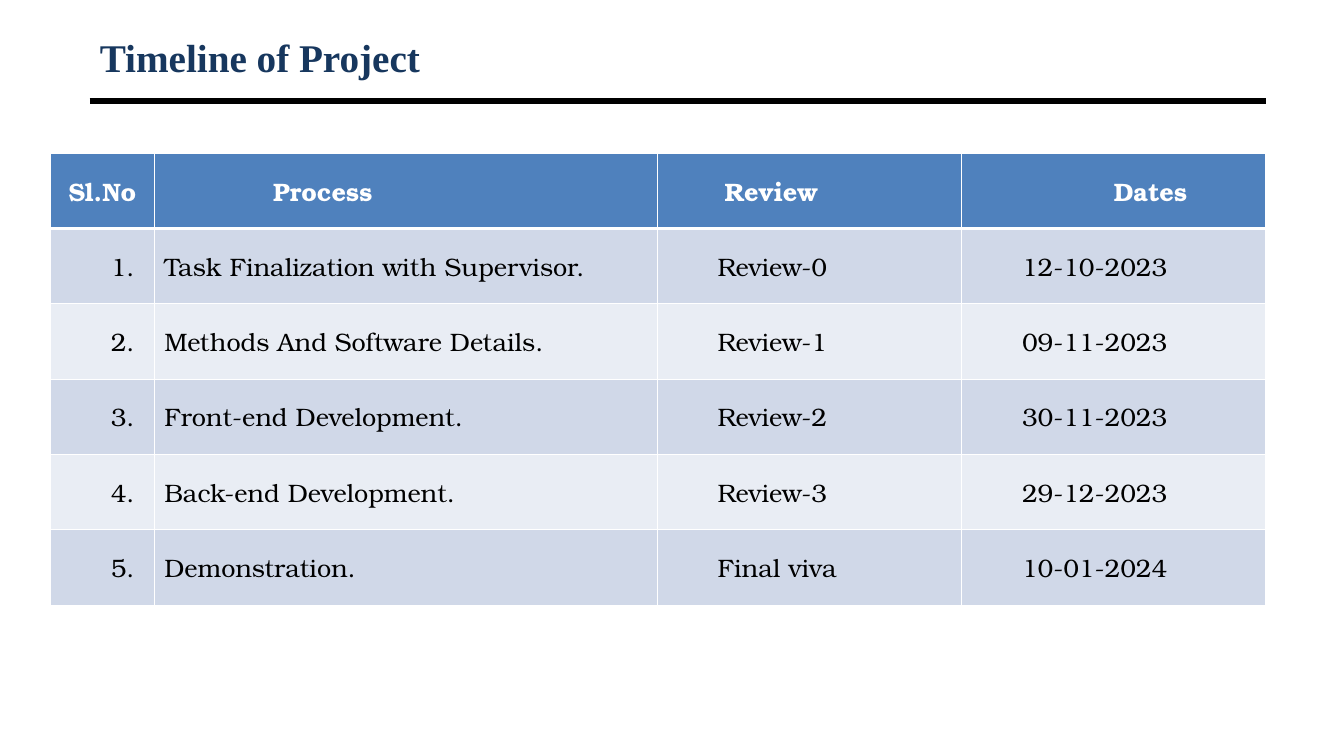
from dataclasses import dataclass

from lxml import etree
from pptx import Presentation
from pptx.dml.color import RGBColor
from pptx.enum.shapes import MSO_CONNECTOR
from pptx.enum.text import MSO_ANCHOR, MSO_AUTO_SIZE, PP_ALIGN
from pptx.oxml.ns import qn
from pptx.util import Inches, Pt

LEFT = PP_ALIGN.LEFT
MIDDLE = MSO_ANCHOR.MIDDLE
FIXED = MSO_AUTO_SIZE.NONE
STRAIGHT = MSO_CONNECTOR.STRAIGHT

WIDTH, HEIGHT = Inches(13.333), Inches(7.5)
COLS, ROWS = 40, 30
COLORS = {
    "navy": "17375E",
    "black": "000000",
    "white": "FFFFFF",
    "head": "4F81BD",
    "odd": "D0D8E8",
    "even": "E9EDF4",
}
SERIF = "Times New Roman"
BOOK = "TeX Gyre Bonum"


@dataclass(frozen=True)
class Column:
    title: str
    width: float
    head_indent: float
    indent: float
    items: tuple[str, ...]


COLUMNS = (
    Column("Sl.No", 3.09, 0.24, 1.5, ("1.", "2.", "3.", "4.", "5.")),
    Column("Process", 14.97, 3.24, 0, (
        "Task Finalization with Supervisor.",
        "Methods And Software Details.",
        "Front-end Development.",
        "Back-end Development.",
        "Demonstration.",
    )),
    Column("Review", 9.06, 1.71, 1.5, (
        "Review-0", "Review-1", "Review-2", "Review-3", "Final viva",
    )),
    Column("Dates", 9.06, 4.23, 1.5, (
        "12-10-2023", "09-11-2023", "30-11-2023", "29-12-2023", "10-01-2024",
    )),
)


def across(count: float) -> int:
    return round(WIDTH * count / COLS)


def down(count: float) -> int:
    return round(HEIGHT * count / ROWS)


def color(name: str) -> RGBColor:
    return RGBColor.from_string(COLORS[name])


def write(frame, text: str, *, font: str, size: float, ink: str,
          bold: bool = False, indent: float = 0) -> None:
    para = frame.paragraphs[0]
    para.alignment = LEFT
    props = para._p.get_or_add_pPr()
    props.set("marL", str(across(indent)))
    props.set("indent", "0")
    run = para.add_run()
    run.text = text
    run.font.name = font
    run.font.size = Pt(size)
    run.font.bold = bold
    run.font.color.rgb = color(ink)


def add_edge(props, side: str, width: float) -> None:
    edge = etree.SubElement(props, qn(f"a:{side}"), w=str(Pt(width)))
    fill = etree.SubElement(edge, qn("a:solidFill"))
    etree.SubElement(fill, qn("a:srgbClr"), val=COLORS["white"])


def fill_cell(cell, text: str, *, fill: str, ink: str, bold: bool,
              indent: float, top: float, base: float) -> None:
    props = cell._tc.get_or_add_tcPr()
    for side, width in (("lnL", 1), ("lnR", 1), ("lnT", top), ("lnB", base)):
        add_edge(props, side, width)
    cell.fill.solid()
    cell.fill.fore_color.rgb = color(fill)
    cell.vertical_anchor = MIDDLE
    write(cell.text_frame, text, font=BOOK, size=18, ink=ink, bold=bold,
          indent=indent)


def add_title(slide) -> None:
    title = slide.shapes.title
    title.left, title.top = across(2.67), down(1.2)
    title.width, title.height = across(35.01), down(2.12)
    title.text_frame.auto_size = FIXED
    title.text_frame.vertical_anchor = MIDDLE
    write(title.text_frame, "Timeline of Project", font=SERIF, size=28,
          ink="navy", bold=True)


def add_rule(slide) -> None:
    rule = slide.shapes.add_connector(
        STRAIGHT, across(2.67), down(4), across(37.68), down(4))
    rule.line.color.rgb = color("black")
    rule.line.width = Pt(4.5)
    etree.SubElement(rule._element.spPr, qn("a:effectLst"))


def add_plan(slide) -> None:
    count = len(COLUMNS[0].items) + 1
    width = sum(column.width for column in COLUMNS)
    table = slide.shapes.add_table(
        count, len(COLUMNS), across(1.5), down(6.08),
        across(width), down(2.99 * count)).table
    for row in table.rows:
        row.height = down(2.99)
    for index, column in enumerate(COLUMNS):
        table.columns[index].width = across(column.width)
        fill_cell(table.cell(0, index), column.title, fill="head",
                  ink="white", bold=True, indent=column.head_indent,
                  top=1, base=3)
        for line, item in enumerate(column.items, 1):
            fill_cell(table.cell(line, index), item,
                      fill="odd" if line % 2 else "even", ink="black",
                      bold=False, indent=column.indent,
                      top=3 if line == 1 else 1, base=1)


def main() -> None:
    deck = Presentation()
    deck.slide_width, deck.slide_height = WIDTH, HEIGHT
    slide = deck.slides.add_slide(deck.slide_layouts.get_by_name("Title Only"))
    add_rule(slide)
    add_title(slide)
    add_plan(slide)
    deck.save("out.pptx")


if __name__ == "__main__":
    main()
